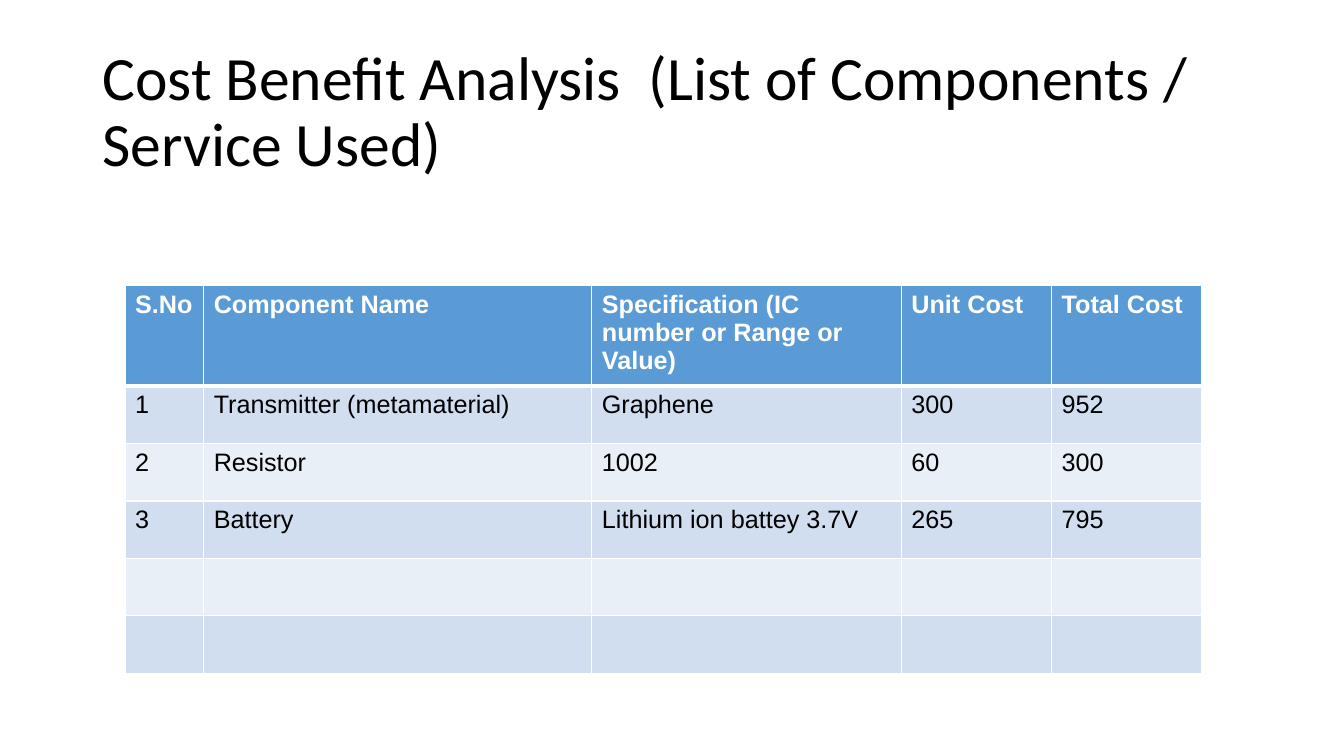
from dataclasses import dataclass

from lxml import etree
from pptx import Presentation
from pptx.dml.color import RGBColor
from pptx.enum.text import MSO_ANCHOR
from pptx.oxml.ns import qn
from pptx.util import Emu, Inches, Pt

MIDDLE = MSO_ANCHOR.MIDDLE
SLIDE_WIDTH, SLIDE_HEIGHT = Inches(13.33), Inches(7.5)
BLANK_LAYOUT = 6

COLORS = {
    "text": "000000",
    "header_text": "FFFFFF",
    "border": "FFFFFF",
    "header": "5B9BD5",
    "odd_row": "D0DEEF",
    "even_row": "E9EFF7",
}

TITLE = "Cost Benefit Analysis  (List of Components / Service Used)"
ROWS = [
    ("S.No", "Component Name", "Specification (IC number or Range or Value)",
     "Unit Cost", "Total Cost"),
    ("1", "Transmitter (metamaterial)", "Graphene", "300", "952"),
    ("2", "Resistor", "1002", "60", "300"),
    ("3", "Battery", "Lithium ion battey 3.7V", "265", "795"),
    ("",) * 5,
    ("",) * 5,
]
COLUMN_WIDTHS = (0.78, 3.85, 3.07, 1.49, 1.49)
HEADER_HEIGHT, BODY_HEIGHT = 1.0, 0.57
THIN, THICK = 1, 3


@dataclass(frozen=True)
class Area:
    """A rectangle in shares of the slide's size."""
    left: float
    top: float
    width: float
    height: float

    def lengths(self) -> tuple[Emu, ...]:
        sides = (SLIDE_WIDTH, SLIDE_HEIGHT) * 2
        shares = (self.left, self.top, self.width, self.height)
        return tuple(Emu(round(share * side)) for share, side in zip(shares, sides))


@dataclass(frozen=True)
class TextFormat:
    name: str
    size: int
    color: str
    bold: bool = False

    def apply(self, font) -> None:
        values = {"name": self.name, "size": Pt(self.size), "bold": self.bold}
        for attribute, value in values.items():
            setattr(font, attribute, value)
        font.color.rgb = RGBColor.from_string(COLORS[self.color])


@dataclass(frozen=True)
class RowStyle:
    fill: str
    text: TextFormat
    top_border: int = THIN
    bottom_border: int = THIN


TITLE_AREA = Area(0.92 / 13.33, 0.4 / 7.5, 11.5 / 13.33, 1.45 / 7.5)
TABLE_AREA = Area(1.24 / 13.33, 2.83 / 7.5, 10.68 / 13.33, 3.85 / 7.5)
TITLE_FORMAT = TextFormat("Calibri", 44, "text")
HEADER_FORMAT = TextFormat("Arial", 18, "header_text", bold=True)
BODY_FORMAT = TextFormat("Arial", 18, "text")


def row_style(index: int) -> RowStyle:
    if index == 0:
        return RowStyle("header", HEADER_FORMAT, bottom_border=THICK)
    fill = "odd_row" if index % 2 else "even_row"
    return RowStyle(fill, BODY_FORMAT, top_border=THICK if index == 1 else THIN)


def add_title(page) -> None:
    box = page.shapes.add_textbox(*TITLE_AREA.lengths())
    frame = box.text_frame
    frame.word_wrap = True
    frame.vertical_anchor = MIDDLE
    para = frame.paragraphs[0]
    para.line_spacing = 0.9
    span = para.add_run()
    span.text = TITLE
    TITLE_FORMAT.apply(span.font)


def add_borders(cell, style: RowStyle) -> None:
    properties = cell._tc.get_or_add_tcPr()
    widths = {"lnL": THIN, "lnR": THIN,
              "lnT": style.top_border, "lnB": style.bottom_border}
    for tag, width in widths.items():
        line = etree.SubElement(properties, qn(f"a:{tag}"), w=str(Pt(width)))
        fill = etree.SubElement(line, qn("a:solidFill"))
        etree.SubElement(fill, qn("a:srgbClr"), val=COLORS["border"])


def format_cell(cell, text: str, style: RowStyle) -> None:
    add_borders(cell, style)
    cell.fill.solid()
    cell.fill.fore_color.rgb = RGBColor.from_string(COLORS[style.fill])
    para = cell.text_frame.paragraphs[0]
    if text:
        span = para.add_run()
        span.text = text
        style.text.apply(span.font)


def add_cost_table(page) -> None:
    shape = page.shapes.add_table(len(ROWS), len(COLUMN_WIDTHS), *TABLE_AREA.lengths())
    table = shape.table
    for column, width in zip(table.columns, COLUMN_WIDTHS):
        column.width = Inches(width)
    for index, texts in enumerate(ROWS):
        row = table.rows[index]
        row.height = Inches(BODY_HEIGHT if index else HEADER_HEIGHT)
        for cell, text in zip(row.cells, texts):
            format_cell(cell, text, row_style(index))


def main() -> None:
    deck = Presentation()
    deck.slide_width, deck.slide_height = SLIDE_WIDTH, SLIDE_HEIGHT
    page = deck.slides.add_slide(deck.slide_layouts[BLANK_LAYOUT])

    # Heading
    add_title(page)
    # Components and their costs
    add_cost_table(page)

    deck.save("out.pptx")


if __name__ == "__main__":
    main()
